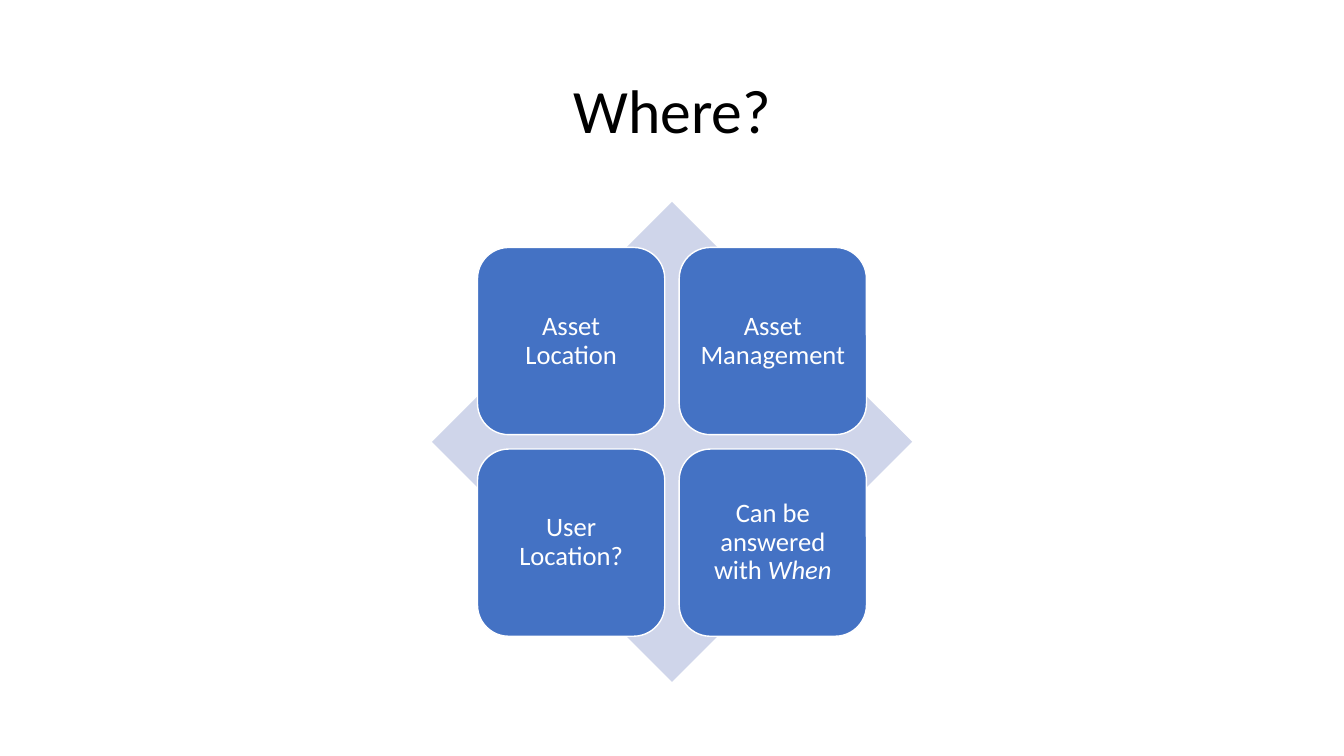
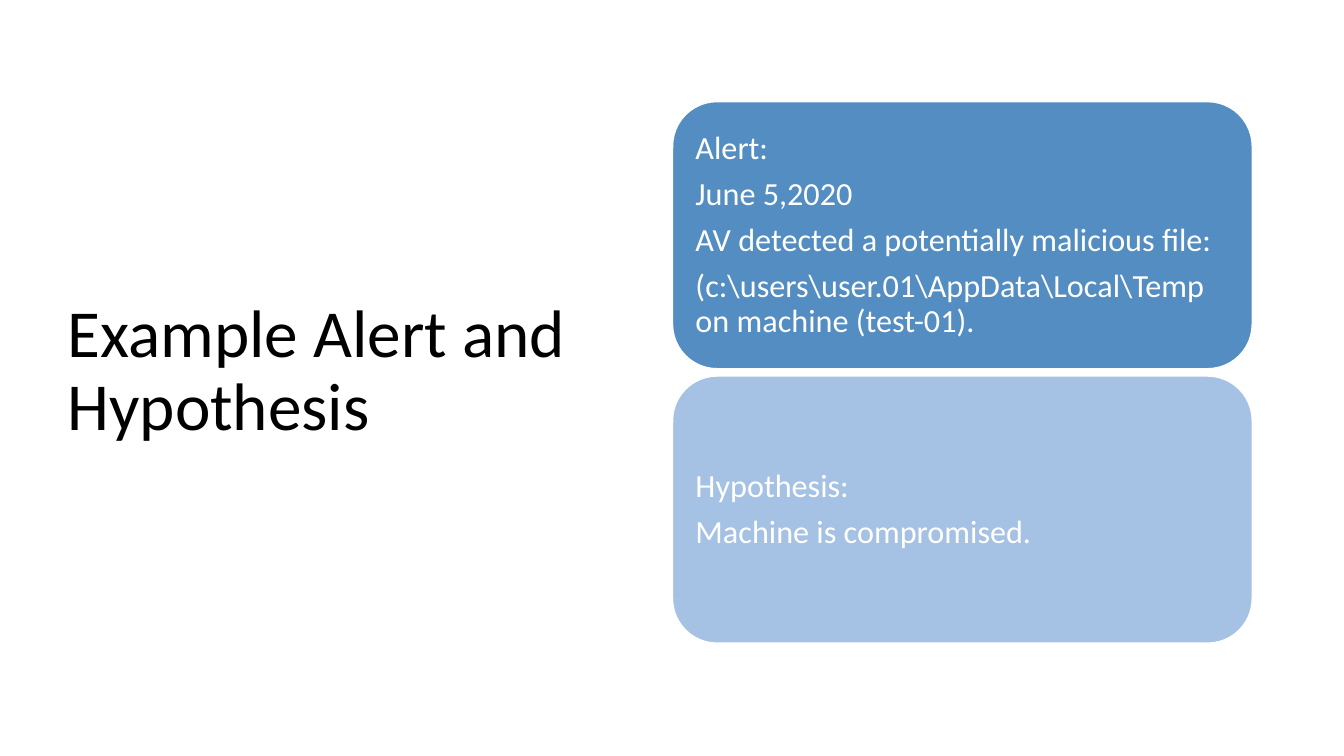
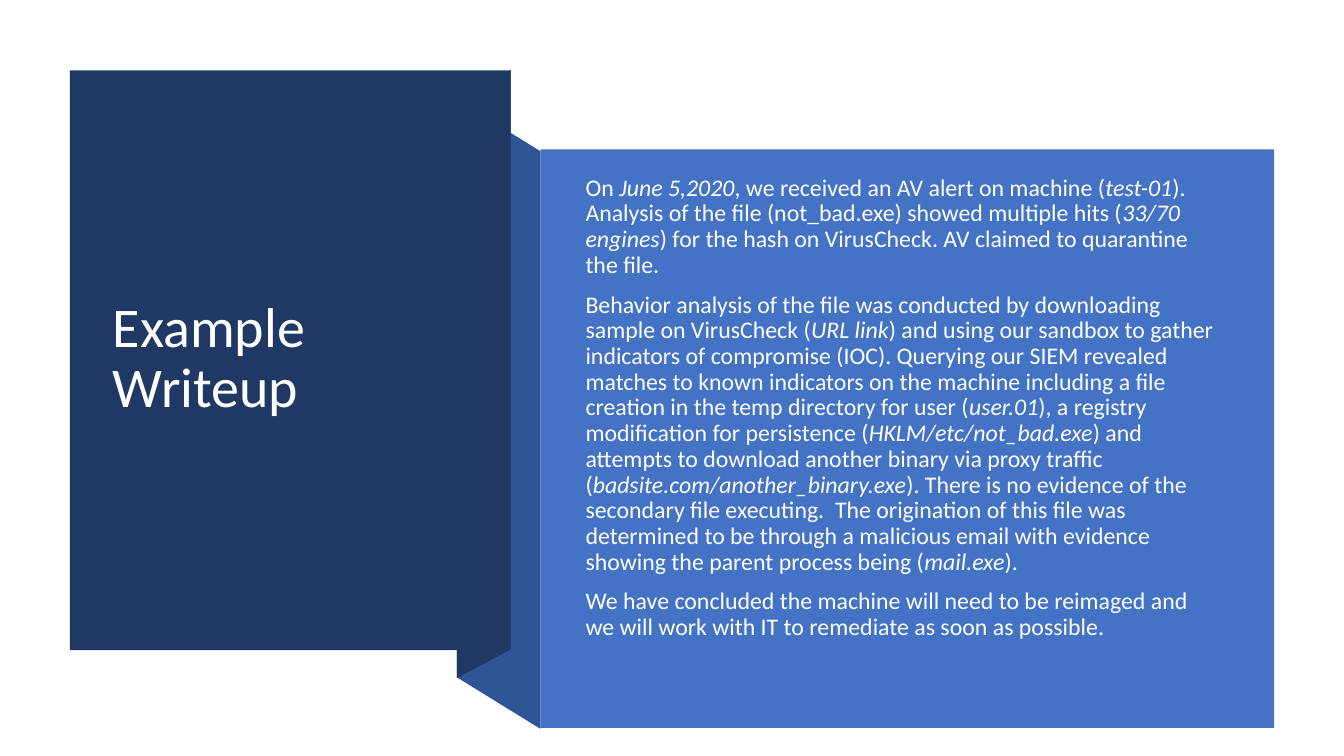
from itertools import product

from pptx import Presentation
from pptx.dml.color import RGBColor
from pptx.enum.shapes import MSO_SHAPE
from pptx.enum.text import MSO_ANCHOR, MSO_AUTO_SIZE, PP_ALIGN
from pptx.util import Inches, Pt

FONT = "Calibri"
COLORS = {
    "black": "000000",
    "white": "FFFFFF",
    "body": "FEFFFF",
    "diamond": "CFD5EA",
    "blue": "4472C4",
    "alert": "538DC1",
    "hypothesis": "A5C1E3",
    "ribbon": "2F5597",
    "navy": "203864",
}
WIDTH, HEIGHT = Inches(13.33), Inches(7.5)
TITLE_ONLY = 5

TILES = ["Asset Location", "Asset Management", "User Location?",
         "Can be answered with *When*"]

CARDS = [
    ("alert", ["Alert:", "June 5,2020",
               "AV detected a potentially malicious file:",
               "(c:\\users\\user.01\\AppData\\Local\\Temp on machine (test-01)."]),
    ("hypothesis", ["Hypothesis:", "Machine is compromised."]),
]

WRITEUP = [
    "On *June 5,2020*, we received an AV alert on machine (*test-01*). "
    "Analysis of the file (not_bad.exe) showed multiple hits (*33/70 engines*) "
    "for the hash on VirusCheck. AV claimed to quarantine the file.",
    "Behavior analysis of the file was conducted by downloading sample on "
    "VirusCheck (*URL link*) and using our sandbox to gather indicators of "
    "compromise (IOC). Querying our SIEM revealed matches to known indicators "
    "on the machine including a file creation in the temp directory for user "
    "(*user.01*), a registry modification for persistence "
    "(*HKLM/etc/not_bad.exe*) and attempts to download another binary via "
    "proxy traffic (*badsite.com/another_binary.exe*). There is no evidence of "
    "the secondary file executing.  The origination of this file was "
    "determined to be through a malicious email with evidence showing the "
    "parent process being (*mail.exe*).",
    "We have concluded the machine will need to be reimaged and we will work "
    "with IT to remediate as soon as possible.",
]


def rgb(name):
    return RGBColor.from_string(COLORS[name])


def point(x, y):
    """Turn percentages of the slide's width and height into lengths."""
    return int(WIDTH * x / 100), int(HEIGHT * y / 100)


def box(x, y, w, h):
    return point(x, y) + point(w, h)


def write(tf, paragraphs, size, color, align=PP_ALIGN.LEFT, before=0, after=0):
    """Fill a text frame; *asterisks* mark italics."""
    tf.word_wrap = True
    tf.auto_size = MSO_AUTO_SIZE.NONE
    tf.vertical_anchor = MSO_ANCHOR.MIDDLE
    for i, text in enumerate(paragraphs):
        p = tf.add_paragraph() if i else tf.paragraphs[0]
        p.alignment = align
        p.line_spacing = 0.9
        p.space_before, p.space_after = Pt(before), Pt(after)
        p.font.name, p.font.size = FONT, Pt(size)
        p.font.color.rgb = rgb(color)
        for j, part in enumerate(text.split("*")):
            if part:
                r = p.add_run()
                r.text = part
                if j % 2:
                    r.font.italic = True


def paint(sp, fill, line=None):
    sp.shadow.inherit = False
    sp.fill.solid()
    sp.fill.fore_color.rgb = rgb(fill)
    if line:
        sp.line.color.rgb = rgb(line)
        sp.line.width = Pt(1)
    else:
        sp.line.fill.background()
    return sp


def add_shape(s, kind, place, fill, line=None):
    return paint(s.shapes.add_shape(kind, *place), fill, line)


def add_card(s, place, fill, paragraphs, size, inset, align=PP_ALIGN.LEFT):
    sp = add_shape(s, MSO_SHAPE.ROUNDED_RECTANGLE, place, fill, "white")
    tf = sp.text_frame
    tf.margin_left = tf.margin_right = Inches(inset)
    tf.margin_top = tf.margin_bottom = Inches(inset)
    write(tf, paragraphs, size, "white", align, after=0.35 * size)


def add_outline(s, fill, corners):
    start, *rest = [point(*corner) for corner in corners]
    builder = s.shapes.build_freeform(*start)
    builder.add_line_segments(rest, close=True)
    paint(builder.convert_to_shape(), fill)


def add_slide(prs):
    return prs.slides.add_slide(prs.slide_layouts[TITLE_ONLY])


def set_title(s, text, place, size, color="black", align=PP_ALIGN.LEFT):
    title = s.shapes.title
    title.left, title.top, title.width, title.height = place
    write(title.text_frame, [text], size, color, align)
    title.element.getparent().append(title.element)  # bring to front


def where_slide(prs):
    s = add_slide(prs)
    set_title(s, "Where?", box(6.9, 5.33, 86.25, 19.33), 44,
              align=PP_ALIGN.CENTER)
    # Diamond behind a two by two grid of tiles
    side = int(HEIGHT * 0.635)
    left, top = (WIDTH - side) // 2, int(HEIGHT * 0.267)
    add_shape(s, MSO_SHAPE.DIAMOND, (left, top, side, side), "diamond")
    tile = int(side * 0.39)
    offsets = [int(side * 0.095), int(side * 0.515)]
    for (dy, dx), text in zip(product(offsets, repeat=2), TILES):
        add_card(s, (left + dx, top + dy, tile, tile), "blue", [text], 19,
                 0.08, PP_ALIGN.CENTER)


def alert_slide(prs):
    s = add_slide(prs)
    set_title(s, "Example Alert and Hypothesis",
              box(4.28, 9.07, 42.53, 80.27), 48)
    for row, (fill, paragraphs) in enumerate(CARDS):
        add_card(s, box(50.04, 13.45 + 36.3 * row, 43.13, 35.33), fill,
                 paragraphs, 23, 0.1)


def writeup_slide(prs):
    s = add_slide(prs)
    # Folded ribbon and title panel
    add_outline(s, "ribbon", [(40.2, 96.4), (34, 89.6), (34, 13.2), (40.2, 20)])
    add_outline(s, "navy", [(38, 85.9), (34, 89.7), (34, 13.1), (38, 9.25)])
    add_shape(s, MSO_SHAPE.RECTANGLE, box(5.2, 9.3, 32.8, 76.7), "navy")
    set_title(s, "Example Writeup", box(7.65, 14.27, 27.83, 66.53), 40, "white")
    # Report text on its panel
    add_shape(s, MSO_SHAPE.RECTANGLE, box(40.2, 19.75, 54.6, 76.55), "blue")
    body = s.shapes.add_textbox(*box(42.83, 22.4, 48.83, 63.2))
    write(body.text_frame, WRITEUP, 17, "body", before=10)


def main():
    prs = Presentation()
    prs.slide_width, prs.slide_height = WIDTH, HEIGHT
    where_slide(prs)
    alert_slide(prs)
    writeup_slide(prs)
    prs.save("out.pptx")


main()
